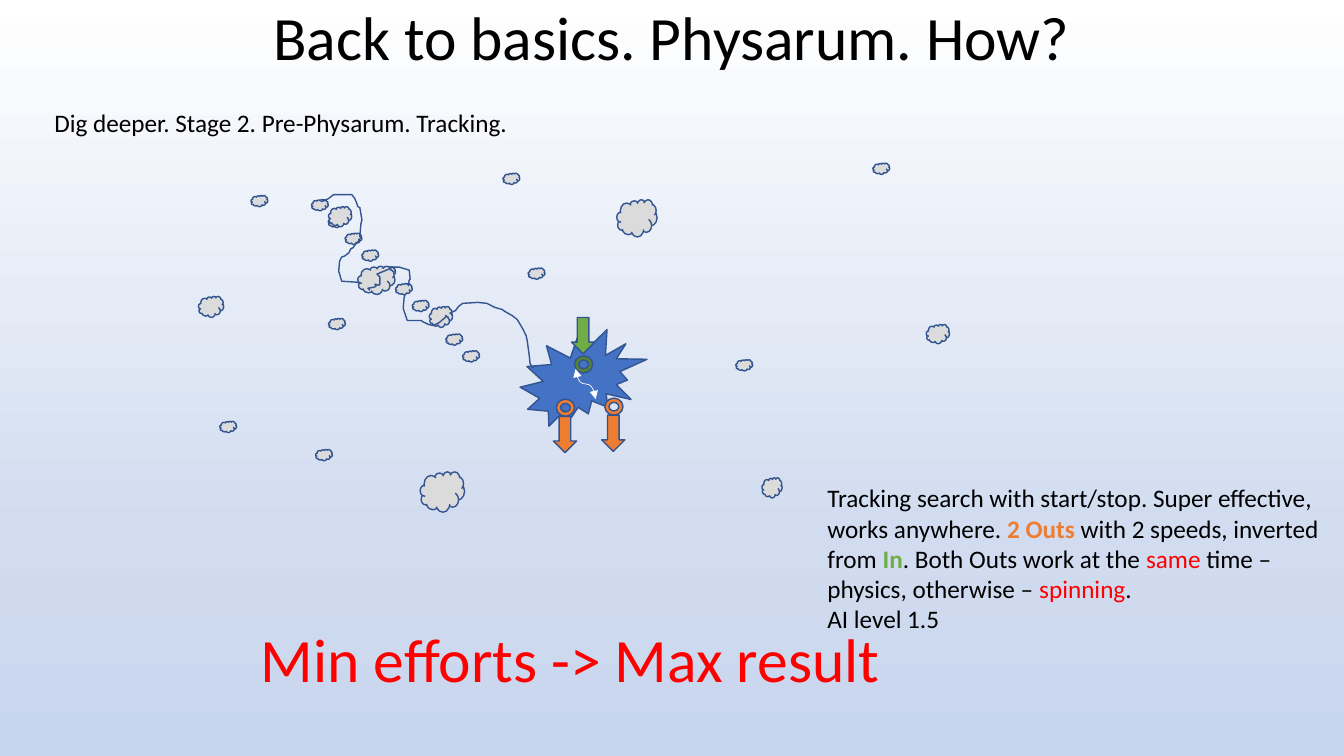
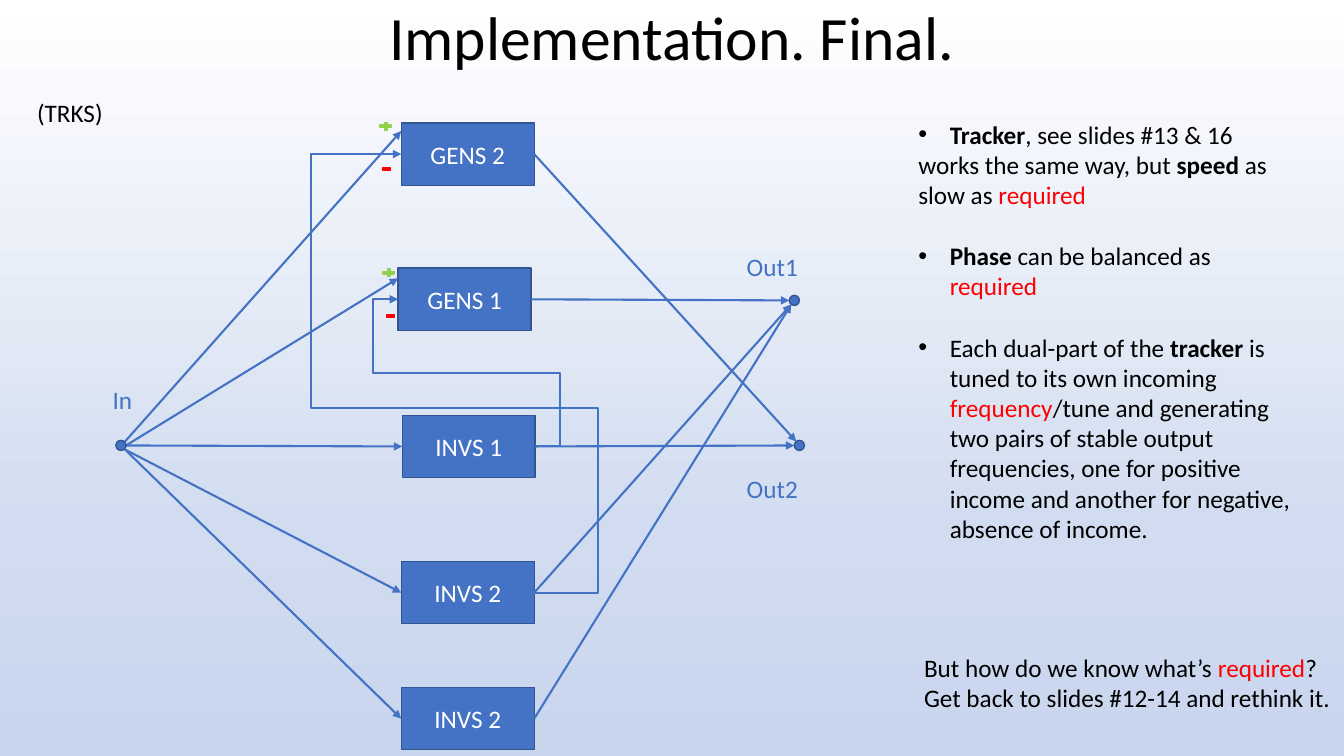
"""Build two slides on Physarum tracking and its final implementation."""
from copy import deepcopy

from lxml import etree
from pptx import Presentation
from pptx.dml.color import RGBColor
from pptx.enum import shapes, text
from pptx.oxml.ns import qn
from pptx.util import Pt

SHAPE = shapes.MSO_SHAPE
CONNECTOR = shapes.MSO_CONNECTOR
FONT = "Calibri"
COLORS = {
    "black": "000000", "white": "FFFFFF", "red": "FF0000", "blue": "4472C4",
    "outline": "325491", "orange": "ED7D31", "green": "70AD47",
    "dark green": "548235", "lime": "92D050", "gray": "DBDBDB",
}
BACKGROUND = [(0, "FFFFFF"), (0.7, "D1DCF0"), (1, "C7D5ED")]
TITLE_BOX = (66, 0, 828, 58.5)

TRACKING_TITLE = "Back to basics. Physarum. How?"
STAGE = [["Dig deeper. Stage 2. Pre-Physarum. Tracking."]]
MOTTO = [["Min efforts -> Max result"]]
TRACKING_NOTE = [
    ["Tracking search with start/stop. Super effective, works anywhere. ",
     ("2 Outs", "orange", True), " with 2 speeds, inverted from ",
     ("In", "green", True), ". Both Outs work at the ", ("same", "red", False),
     " time – physics, otherwise – ", ("spinning", "red", False), "."],
    ["AI level 1.5"],
]
CRUMB_SIZE = (12, 8)
CRUMBS = [(179.3, 139.7), (525.6, 257), (234.7, 227.5), (359.3, 123.8),
          (623.5, 116.6), (377.3, 191.5), (225.4, 321.1), (157, 301)]
CHAIN_START, CHAIN_STEP = (222.5, 142.6), 12
CHAIN_STEPS = (0, 1, 2, 3, 4, 5, 6, 8, 9)
FOOD = [(141.8, 211.7, 18, 15), (440.6, 142.6, 28.8, 26.6),
        (300.2, 337, 31.7, 28.8), (544.3, 341.3, 14.4, 14.4),
        (661.7, 231.8, 16.6, 13.7), (234.7, 147.6, 16.6, 14.4),
        (255.6, 190.1, 26.6, 20.2), (306.7, 218.9, 16.6, 15)]
CREATURE = [
    (SHAPE.EXPLOSION2, (371.5, 235.4, 90.7, 69.1), "blue"),
    (SHAPE.DONUT, (397.4, 285.1, 13, 12.2), "orange"),
    (SHAPE.DONUT, (410.4, 254.2, 13, 12.2), "dark green"),
    (SHAPE.DOWN_ARROW, (408.2, 226.8, 16.6, 25.9), "green"),
    (SHAPE.DOWN_ARROW, (395.3, 297.4, 16.6, 25.9), "orange"),
    (SHAPE.DONUT, (432, 284.4, 13, 12.2), "orange"),
    (SHAPE.DOWN_ARROW, (429.8, 296.6, 16.6, 25.9), "orange"),
]
TRAILS = [
    [(380.9, 262.8), (378.7, 259.9), (378, 253.4), (376.6, 243.4),
     (375.8, 239.8), (373.7, 235.4), (370.8, 230.4), (369.4, 228.2),
     (365.8, 225.4), (360.7, 222.5), (358.6, 221), (353.5, 219.6),
     (347.8, 216.7), (341.3, 216), (330.5, 216.7), (327.6, 218.9),
     (325.4, 221.8), (321.1, 223.9)],
    [(320.4, 226.8), (318.2, 225.4), (319, 226.1), (315.4, 229),
     (313.9, 230.4), (309.6, 232.6), (306, 231.8), (301.7, 229.7),
     (301, 229), (290.9, 229), (290.2, 226.8), (288, 220.3),
     (288.7, 212.4), (289.4, 210.2)],
    [(291.6, 204.5), (292.3, 200.2), (293, 199.4), (292.3, 193),
     (285.1, 190.8), (280.1, 190.8), (277.9, 192.2), (269.3, 195.8),
     (271.4, 198), (271.4, 203), (270.7, 203.8), (267.8, 203),
     (268.6, 204.5), (267.1, 205.2), (262.8, 205.9), (264.2, 207.4)],
    [(257, 202.3), (254.9, 201.6), (244.1, 200.9), (243.4, 198.7),
     (242.6, 195.8), (241.9, 193.7), (242.6, 186.5), (244.1, 183.6),
     (246.2, 182.9), (249.1, 180.7), (250.6, 177.8), (252, 177.1),
     (254.2, 174.2), (256.3, 172.1), (257.8, 169.2)],
    [(257, 169.2), (257.8, 159.8), (258.5, 157), (257, 148.3),
     (255.6, 147.6), (254.9, 145.4), (253.4, 141.8), (251.3, 139),
     (238.3, 139), (234.7, 141.8), (231.8, 143.3), (229, 144)],
]

FINAL_TITLE = "Implementation. Final."
LABELS = [("(TRKS)", (19.4, 66.2, 89, 29), "black"),
          ("In", (73.4, 270.7, 61, 29), "blue"),
          ("Out1", (526.3, 175.7, 61, 29), "blue"),
          ("Out2", (526.3, 334.8, 61, 29), "blue")]
TRACKER_NOTES = [
    (True, [("Tracker", "black", True), ", see slides #13 & 16"]),
    (False, ["works the same way, but ", ("speed ", "black", True),
             "as slow as ", ("required", "red", False)]),
    (True, [("Phase", "black", True), " can be balanced as ",
            ("required", "red", False)]),
    (True, ["Each dual-part of the ", ("tracker ", "black", True),
            "is tuned to its own incoming ", ("frequency", "red", False),
            "/tune and generating two pairs of stable output frequencies, "
            "one for positive income and another for negative, "
            "absence of income."]),
]
QUESTION = [
    ["But how do we know what’s ", ("required", "red", False), "?"],
    ["Get back to slides #12-14 and rethink it."],
]
BLOCK_SIZE = (95, 44.6)
BLOCKS = [
    {"name": "GENS 2", "at": (286.6, 87.8), "input": (89.3, 315.4),
     "rise": 16.5, "output": (568.8, 315.4)},
    {"name": "GENS 1", "at": (284.4, 191.5), "input": (90, 318.2),
     "rise": 15, "output": (563.8, 214.6)},
    {"name": "INVS 1", "at": (287.3, 296.6), "input": (90, 318.2),
     "rise": 0, "output": (567.4, 318.2)},
    {"name": "INVS 2", "at": (286.6, 401), "input": (89.3, 321.1),
     "rise": 0, "output": (565.2, 217.4)},
    {"name": "INVS 2", "at": (286.6, 491), "input": (89.3, 321.1),
     "rise": 0, "output": (565.2, 217.4)},
]
FEEDBACK = [(2, 1, (-18400, 50000, 118400)), (3, 0, (-47800, 42000, 167700))]
TERMINALS = [(82.8, 314.6), (563.8, 211), (567.4, 314.6)]
SIGNS = [(SHAPE.MATH_PLUS, (270, 86.4, 10.8, 7.9), "lime"),
         (SHAPE.MATH_MINUS, (272.2, 117.4, 7.9, 6.5), "red"),
         (SHAPE.MATH_PLUS, (272.2, 190.8, 10.8, 7.9), "lime"),
         (SHAPE.MATH_MINUS, (275, 222.5, 7.9, 6.5), "red")]


def points(values):
    return [Pt(value) for value in values]


def rgb(color):
    return RGBColor.from_string(COLORS[color])


def set_font(font, size, color):
    font.name, font.size = FONT, Pt(size)
    font.color.rgb = rgb(color)


def write_runs(paragraph, parts, size=18, color="black"):
    set_font(paragraph.font, size, color)
    for part in parts:
        run = paragraph.add_run()
        if isinstance(part, str):
            run.text = part
        else:
            run.text, run_color, run.font.bold = part
            run.font.color.rgb = rgb(run_color)


def paragraphs(frame, count):
    return [frame.paragraphs[0]] + [frame.add_paragraph() for _ in range(count - 1)]


def add_text(slide, box, lines, size=18, color="black"):
    frame = slide.shapes.add_textbox(*points(box)).text_frame
    frame.word_wrap = True
    for paragraph, parts in zip(paragraphs(frame, len(lines)), lines):
        write_runs(paragraph, parts, size, color)


def add_figure(slide, preset, box, fill, outline="outline"):
    figure = slide.shapes.add_shape(preset, *points(box))
    figure.shadow.inherit = False
    figure.fill.solid()
    figure.fill.fore_color.rgb = rgb(fill)
    figure.line.color.rgb = rgb(outline)
    figure.line.width = Pt(1)
    return figure


def add_arrow(slide, start, end, kind=CONNECTOR.STRAIGHT, color="blue",
              width=1.5, heads=("tailEnd",)):
    arrow = slide.shapes.add_connector(kind, *points(start + end))
    arrow.line.color.rgb = rgb(color)
    arrow.line.width = Pt(width)
    properties = arrow.element.spPr
    for head in heads:
        etree.SubElement(properties.find(qn("a:ln")), qn(f"a:{head}"), type="triangle")
    etree.SubElement(properties, qn("a:effectLst"))
    return arrow


def add_feedback(slide, start, end, bends):
    arrow = add_arrow(slide, start, end, CONNECTOR.ELBOW)
    geometry = arrow.element.spPr.find(qn("a:prstGeom"))
    geometry.set("prst", "bentConnector5")
    guides = geometry.find(qn("a:avLst"))
    if guides is None:
        guides = etree.SubElement(geometry, qn("a:avLst"))
    for number, bend in enumerate(bends, 1):
        etree.SubElement(guides, qn("a:gd"), name=f"adj{number}", fmla=f"val {bend}")


def add_trail(slide, trail):
    start, *rest = [points(vertex) for vertex in trail]
    builder = slide.shapes.build_freeform(*start)
    builder.add_line_segments(rest, close=False)
    stroke = builder.convert_to_shape()
    stroke.shadow.inherit = False
    stroke.fill.background()
    stroke.line.color.rgb = rgb("outline")
    stroke.line.width = Pt(1)


def paint_background(master):
    fill = master.background.fill
    fill.gradient()
    fill.gradient_angle = 270
    stops = master.element.find(".//" + qn("p:bgPr")).find(".//" + qn("a:gsLst"))
    stops.append(deepcopy(stops[-1]))
    for stop, (position, color) in zip(fill.gradient_stops, BACKGROUND):
        stop.position = position
        stop.color.rgb = RGBColor.from_string(color)


def place(placeholder, box):
    placeholder.left, placeholder.top, placeholder.width, placeholder.height = points(box)
    frame = placeholder.text_frame
    frame.word_wrap = True
    frame.auto_size = text.MSO_AUTO_SIZE.NONE
    return frame


def new_slide(deck, layout, heading):
    slide = deck.slides.add_slide(deck.slide_layouts[layout])
    frame = place(slide.shapes.title, TITLE_BOX)
    frame.vertical_anchor = text.MSO_ANCHOR.MIDDLE
    paragraph = frame.paragraphs[0]
    paragraph.alignment = text.PP_ALIGN.CENTER
    paragraph.line_spacing = 0.9
    write_runs(paragraph, [heading], 44)
    return slide


def build_tracking(deck):
    slide = new_slide(deck, 5, TRACKING_TITLE)
    add_text(slide, (31.7, 73.4, 367, 29), STAGE)
    add_text(slide, (179.3, 440, 475, 60.5), MOTTO, 44, "red")
    for preset, box, fill in CREATURE:
        add_figure(slide, preset, box, fill)
    swing = add_arrow(slide, (429.1, 267.1), (407.5, 281.5), CONNECTOR.CURVE,
                      "white", 0.5, ("headEnd", "tailEnd"))
    swing.element.spPr.find(qn("a:xfrm")).set("rot", str(270 * 60000))
    chain = [tuple(origin + step * CHAIN_STEP for origin in CHAIN_START)
             for step in CHAIN_STEPS]
    for box in [corner + CRUMB_SIZE for corner in CRUMBS + chain] + FOOD:
        add_figure(slide, SHAPE.CLOUD, box, "gray")
    add_text(slide, (583.9, 341.3, 380, 116.6), TRACKING_NOTE)
    for trail in TRAILS:
        add_trail(slide, trail)


def write_tracker_notes(frame):
    lines = paragraphs(frame, len(TRACKER_NOTES))
    for number, (paragraph, (bulleted, parts)) in enumerate(zip(lines, TRACKER_NOTES)):
        paragraph.space_before = Pt(22 if bulleted and number else 0)
        properties = paragraph._p.get_or_add_pPr()
        properties.set("marL", str(Pt(22.5) if bulleted else 0))
        properties.set("indent", str(Pt(-22.5) if bulleted else 0))
        if bulleted:
            etree.SubElement(properties, qn("a:buFont"), typeface="Arial")
            etree.SubElement(properties, qn("a:buChar"), char="•")
        else:
            etree.SubElement(properties, qn("a:buNone"))
        write_runs(paragraph, parts)


def build_final(deck):
    slide = new_slide(deck, 1, FINAL_TITLE)
    write_tracker_notes(place(slide.placeholders[1], (648.7, 81.4, 281.5, 312.5)))
    add_text(slide, (653, 462.2, 307.4, 51), QUESTION)
    for label, box, color in LABELS:
        add_text(slide, box, [[label]], color=color)
    width, height = BLOCK_SIZE
    ports = []
    for block in BLOCKS:
        left, top = block["at"]
        middle = top + height / 2
        ports.append(((left, middle), (left + width, middle)))
        frame = add_figure(slide, SHAPE.RECTANGLE, block["at"] + BLOCK_SIZE, "blue").text_frame
        frame.vertical_anchor = text.MSO_ANCHOR.MIDDLE
        frame.paragraphs[0].alignment = text.PP_ALIGN.CENTER
        write_runs(frame.paragraphs[0], [block["name"]], color="white")
        add_arrow(slide, block["input"], (left, middle - block["rise"]))
        add_arrow(slide, (left + width, middle), block["output"])
    for source, target, bends in FEEDBACK:
        add_feedback(slide, ports[source][1], ports[target][0], bends)
    for corner in TERMINALS:
        add_figure(slide, SHAPE.FLOWCHART_CONNECTOR, corner + (7.2, 7.2), "blue")
    for preset, box, color in SIGNS:
        add_figure(slide, preset, box, color, color)


def main():
    deck = Presentation()
    deck.slide_width, deck.slide_height = points((960, 540))
    paint_background(deck.slide_master)
    build_tracking(deck)
    build_final(deck)
    deck.save("out.pptx")


if __name__ == "__main__":
    main()
